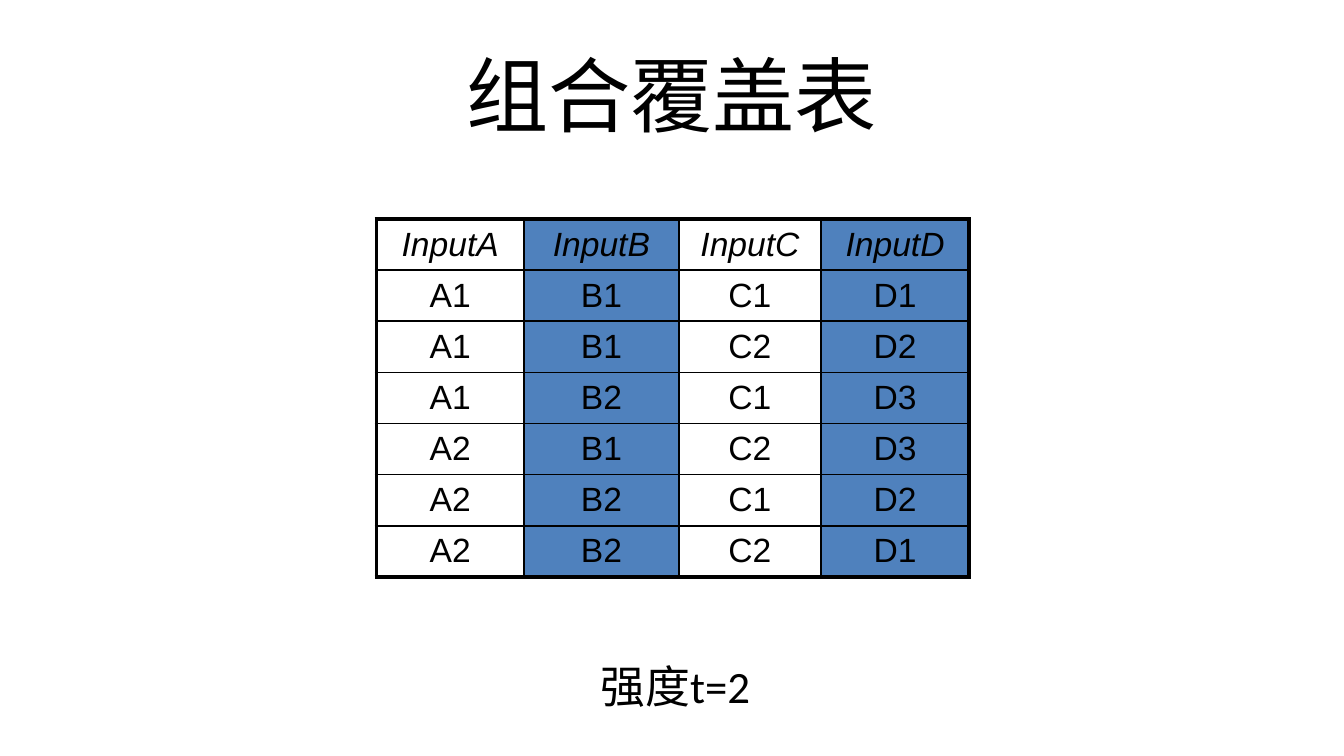
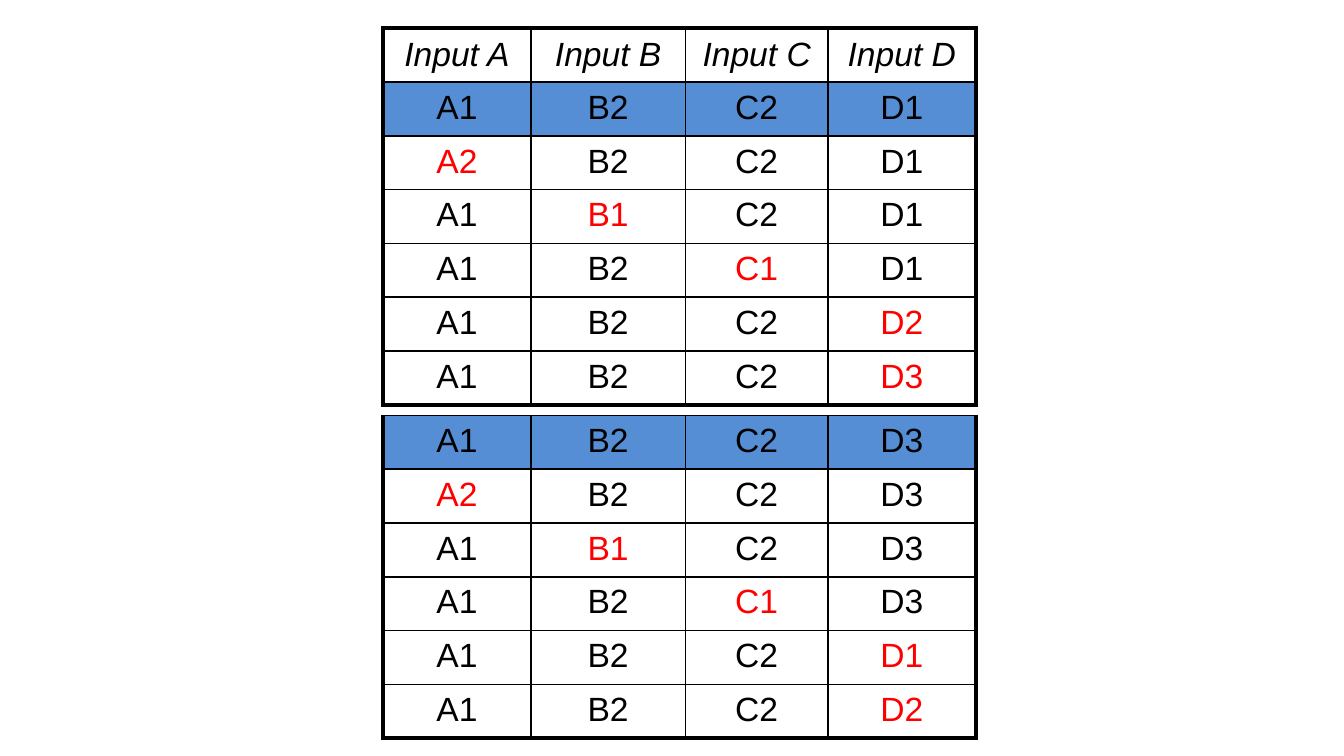
from lxml.etree import SubElement as Sub
from pptx import Presentation
from pptx.dml.color import RGBColor
from pptx.enum.text import MSO_ANCHOR as Anchor, MSO_AUTO_SIZE as Auto, PP_ALIGN as Align
from pptx.oxml.ns import qn
from pptx.util import Inches, Pt

BLACK = RGBColor(0x00, 0x00, 0x00)
RED = RGBColor(0xFF, 0x00, 0x00)
STEEL = RGBColor(0x4F, 0x81, 0xBD)
SKY = RGBColor(0x55, 0x8E, 0xD5)

COLS = (1.1, 1.15, 1.06, 1.1)
ROW = 0.34
SPAN = 0.38  # frame height given to each row
THIN, THICK = 1, 2.25


class Deck:
    def __init__(self):
        self.prs = Presentation()
        self.prs.slide_width = Inches(10)
        self.prs.slide_height = Inches(10 * 9 / 16)
        self.slide = None

    def page(self):
        self.slide = self.prs.slides.add_slide(self.prs.slide_layouts[6])

    def style(self, para, size, font, color=BLACK, italic=False):
        for run in para.runs:
            run.font.size = Pt(size)
            run.font.name = font
            run.font.italic = italic
            run.font.color.rgb = color

    def text(self, text, box, size, align=Align.LEFT, anchor=Anchor.TOP, wrap=True):
        frame = self.slide.shapes.add_textbox(*map(Inches, box)).text_frame
        frame.text = text
        frame.word_wrap = wrap
        frame.auto_size = Auto.NONE if wrap else Auto.SHAPE_TO_FIT_TEXT
        frame.vertical_anchor = anchor
        para = frame.paragraphs[0]
        para.alignment = align
        self.style(para, size, "Calibri")

    def edges(self, cell, widths):
        # Borders come before the fill in the cell properties
        props = cell._tc.get_or_add_tcPr()
        for side, width in zip("LRTB", widths):
            line = Sub(props, qn(f"a:ln{side}"), w=str(Pt(width)))
            fill = Sub(line, qn("a:solidFill"))
            Sub(fill, qn("a:srgbClr"), val=str(BLACK))

    def cell(self, cell, text, color, fill, head):
        cell.text = text
        cell.vertical_anchor = Anchor.MIDDLE if head else Anchor.TOP
        if fill is None:
            cell.fill.background()
        else:
            cell.fill.solid()
            cell.fill.fore_color.rgb = fill
        para = cell.text_frame.paragraphs[0]
        para.alignment = Align.CENTER
        gap = Sub(para._p.get_or_add_pPr(), qn("a:spcBef"))
        Sub(gap, qn("a:spcPct"), val="20000")
        self.style(para, 18, "Arial", color, head)

    def table(self, left, top, rows, fill, head=True, base=None):
        """fill(row, col) gives a cell's colour; cells unlike base turn red."""
        last, end = len(rows) - 1, len(COLS) - 1
        high = Inches(SPAN * len(rows))
        shape = self.slide.shapes.add_table(
            len(rows), len(COLS), Inches(left), Inches(top), Inches(sum(COLS)), high)
        table = shape.table
        table.first_row = table.horz_banding = False
        for col, width in zip(table.columns, COLS):
            col.width = Inches(width)
        for row in table.rows:
            row.height = Inches(ROW)
        shape.height = high
        for r, row in enumerate(rows):
            title = head and r == 0
            for c, text in enumerate(row):
                cell = table.cell(r, c)
                outer = (c == 0, c == end, title, r == last)
                self.edges(cell, [THICK if out else THIN for out in outer])
                odd = base and not title and text != base[c]
                self.cell(cell, text, RED if odd else BLACK, fill(r, c), title)


def vary(base, swaps):
    """The base row, then one row for each single changed value."""
    return [base] + [[new if new[0] == old[0] else old for old in base]
                     for new in swaps]


def main():
    deck = Deck()

    # Pairwise cover table
    deck.page()
    deck.text("组合覆盖表", (0.5, 0.23, 9, 0.94), 44, Align.CENTER, Anchor.MIDDLE)
    pairs = ["InputA InputB InputC InputD", "A1 B1 C1 D1", "A1 B1 C2 D2",
             "A1 B2 C1 D3", "A2 B1 C2 D3", "A2 B2 C1 D2", "A2 B2 C2 D1"]
    deck.table(2.8, 1.63, [row.split() for row in pairs],
               lambda r, c: STEEL if c % 2 else None)
    deck.text("强度t=2", (4.37, 4.85, 1.33, 0.5), 24, wrap=False)

    # Base choice tables
    deck.page()
    low = ["A1", "B2", "C2", "D3"]
    deck.table(2.85, 3.09, vary(low, ["A2", "B1", "C1", "D1", "D2"]),
               lambda r, c: SKY if r == 0 else None, head=False, base=low)
    high = ["A1", "B2", "C2", "D1"]
    names = [f"Input {key}" for key in "ABCD"]
    deck.table(2.85, 0.21, [names] + vary(high, ["A2", "B1", "C1", "D2", "D3"]),
               lambda r, c: SKY if r == 1 else None, base=high)

    deck.prs.save("out.pptx")


if __name__ == "__main__":
    main()
